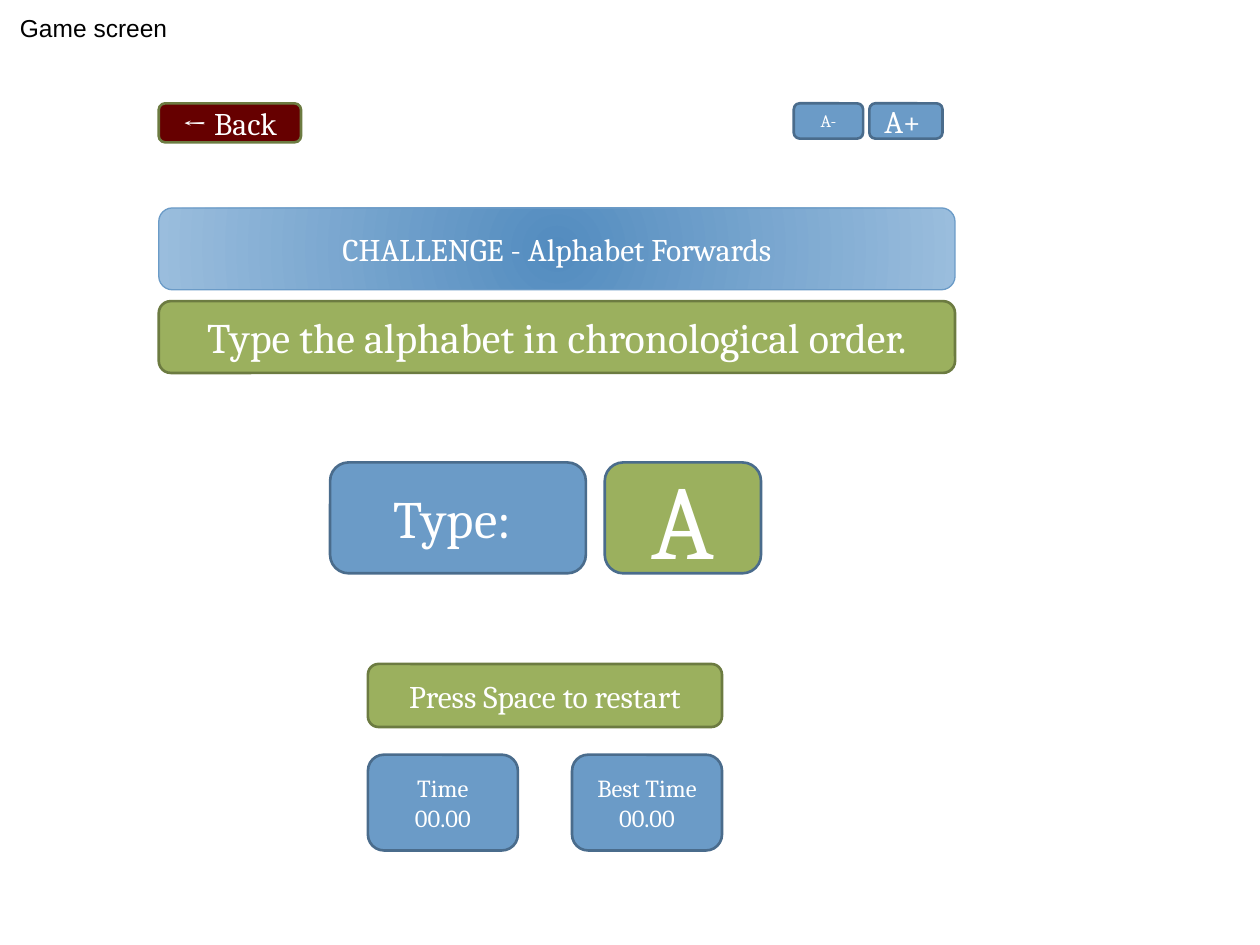
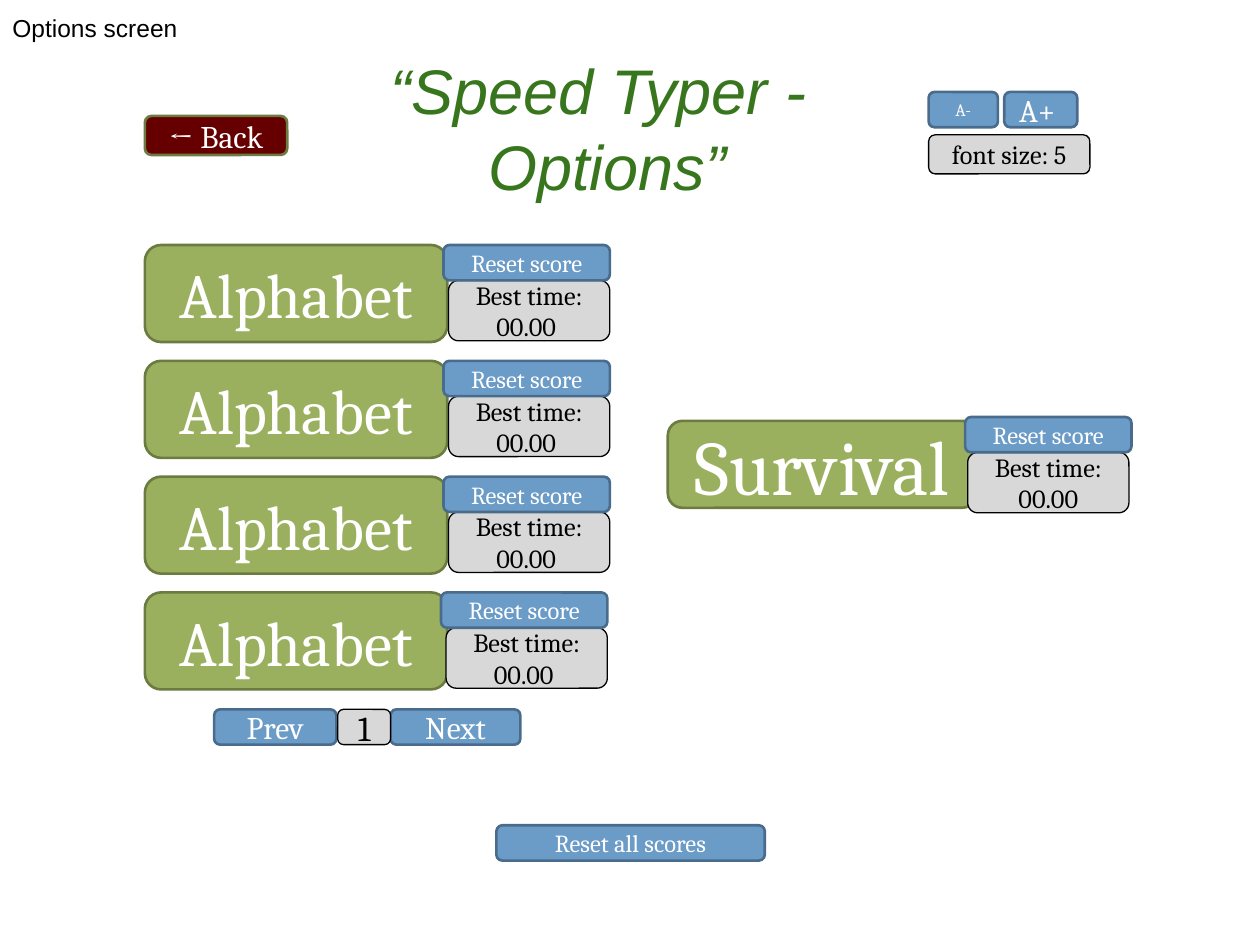
from pptx import Presentation
from pptx import util as u
from pptx.dml.color import RGBColor
from pptx.enum import shapes, text
from pptx.oxml import parse_xml
from pptx.oxml.ns import nsdecls, qn

# Slide size and a grid of 100 columns by 75 rows
WIDE, HIGH = u.Inches(10), u.Inches(7.5)
COL, ROW = WIDE / 100, HIGH / 75

HUE = {
    "blue": "6B9BC7", "navy": "4A6C8C", "green": "9BB05E", "olive": "6C7B41",
    "red": "660000", "gray": "D8D8D8", "black": "000000", "white": "FFFFFF",
    "title": "38761D", "core": "538CBF", "rim": "9ABDDD",
}

# Looks of a button: fill, line, line width, text colour
LOOK = {
    "blue": ("blue", "navy", 1.5, "white"),
    "green": ("green", "olive", 1.5, "white"),
    "key": ("green", "navy", 1.5, "white"),
    "back": ("red", "olive", 1.5, "white"),
    "gray": ("gray", "black", 0.75, "black"),
    "glow": ("blue", "blue", 0.75, "white"),
}


def rgb(name):
    return RGBColor.from_string(HUE[name])


def place(x, y, w, h):
    return [u.Emu(round(n)) for n in (x * COL, y * ROW, w * COL, h * ROW)]


def write(shape, lines, inset, anchor, align, hue, **style):
    frame = shape.text_frame
    form = {"word_wrap": True, "vertical_anchor": anchor,
            "margin_left": u.Inches(0.1), "margin_right": u.Inches(0.1),
            "margin_top": u.Inches(inset), "margin_bottom": u.Inches(inset)}
    for name, value in form.items():
        setattr(frame, name, value)
    for i, line in enumerate(lines):
        para = frame.add_paragraph() if i else frame.paragraphs[0]
        para.alignment = align
        run = para.add_run()
        run.text = line
        run.font.color.rgb = rgb(hue)
        for name, value in style.items():
            setattr(run.font, name, value)


def button(slide, box, look, size, *lines):
    fill, edge, width, ink = LOOK[look]
    shape = slide.shapes.add_shape(
        shapes.MSO_SHAPE.ROUNDED_RECTANGLE, *place(*box))
    shape.shadow.inherit = False
    shape.fill.solid()
    shape.fill.fore_color.rgb = rgb(fill)
    shape.line.color.rgb = rgb(edge)
    shape.line.width = u.Pt(width)
    write(shape, lines, 0.05, text.MSO_ANCHOR.MIDDLE, text.PP_ALIGN.CENTER,
          ink, size=u.Pt(size), name="Cambria")
    return shape


def glow(shape):
    """Fill a shape with a gradient that spreads from its centre."""
    shape.fill.gradient()
    for stop, name in zip(shape.fill.gradient_stops, ("core", "rim")):
        stop.color.rgb = rgb(name)
    grad = shape.element.spPr.find(qn("a:gradFill"))
    grad.replace(grad.find(qn("a:lin")), parse_xml(
        f'<a:path {nsdecls("a")} path="circle">'
        '<a:fillToRect l="50000" t="50000" r="50000" b="50000"/></a:path>'))


def label(slide, x, words):
    box = slide.shapes.add_textbox(*place(x, 0, 18.6, 5))
    write(box, [words], 0.1, text.MSO_ANCHOR.TOP, text.PP_ALIGN.LEFT,
          "black", size=u.Pt(14), name="Arial")


def title(slide, *lines):
    box = slide.shapes.add_textbox(*place(8.9, 2.2, 78.6, 15.8))
    write(box, lines, 0.1, text.MSO_ANCHOR.MIDDLE, text.PP_ALIGN.CENTER,
          "title", size=u.Pt(36), name="Arial", italic=True)


def back(slide, x, y):
    button(slide, (x, y, 11.3, 3.1), "back", 18, "← Back")


def zoom(slide, x, y):
    button(slide, (x, y, 5.5, 2.8), "blue", 10, "A-")
    button(slide, (x + 6, y, 5.8, 2.8), "blue", 18, "A+ ")


def score(slide, x, y, shift, words):
    """A reset button with the best time under it."""
    button(slide, (x + shift, y + 2.8, 12.8, 4.8), "gray", 15, words)
    button(slide, (x, y, 13.2, 2.8), "blue", 14, "Reset score")


def game(slide):
    label(slide, 0.6, "Game screen")
    back(slide, 12.6, 8.2)
    zoom(slide, 63, 8.2)

    # Challenge and its task
    glow(button(slide, (12.6, 16.5, 63.2, 6.5), "glow", 18,
                "CHALLENGE - Alphabet Forwards"))
    button(slide, (12.6, 23.9, 63.2, 5.7), "green", 24,
           "Type the alphabet in chronological order.")

    # Letter to type
    button(slide, (26.2, 36.7, 20.3, 8.8), "blue", 30, "Type: ")
    button(slide, (48, 36.7, 12.4, 8.8), "key", 60, "A")

    # Restart and times
    button(slide, (29.2, 52.7, 28.1, 5), "green", 18, "Press Space to restart")
    for x, name in ((29.2, "Time"), (45.4, "Best Time")):
        button(slide, (x, 59.9, 11.9, 7.6), "blue", 14, name, "00.00")


def options(slide):
    label(slide, 0, "Options screen")
    title(slide, "“Speed Typer - ", "Options”")
    back(slide, 11.5, 9.2)
    zoom(slide, 73.7, 7.3)
    button(slide, (73.7, 10.7, 12.8, 3.1), "gray", 15, "font size: 5")

    # Alphabet modes, one a row
    for i in range(4):
        y = 19.45 + 9.19 * i
        button(slide, (11.5, y, 24, 7.7), "green", 36, "Alphabet")
        score(slide, 35 if i == 3 else 35.2, y, 0.4, "Best time: 00.00 ")

    # Survival mode
    button(slide, (53, 33.4, 24.5, 6.9), "green", 44, "Survival")
    score(slide, 76.6, 33.1, 0.2, "Best time: 00.00")

    # Pages and full reset
    for x, w, look, size, words in (
            (17, 9.7, "blue", 18, "Prev"),
            (31, 10.3, "blue", 18, "Next"),
            (26.8, 4.2, "gray", 20, "1")):
        button(slide, (x, 56.3, w, 2.8), look, size, words)
    button(slide, (39.4, 65.5, 21.3, 2.8), "blue", 14, "Reset all scores")


def main():
    deck = Presentation()
    deck.slide_width, deck.slide_height = WIDE, HIGH
    for draw in (game, options):
        draw(deck.slides.add_slide(deck.slide_layouts[6]))
    deck.save("out.pptx")


if __name__ == "__main__":
    main()
